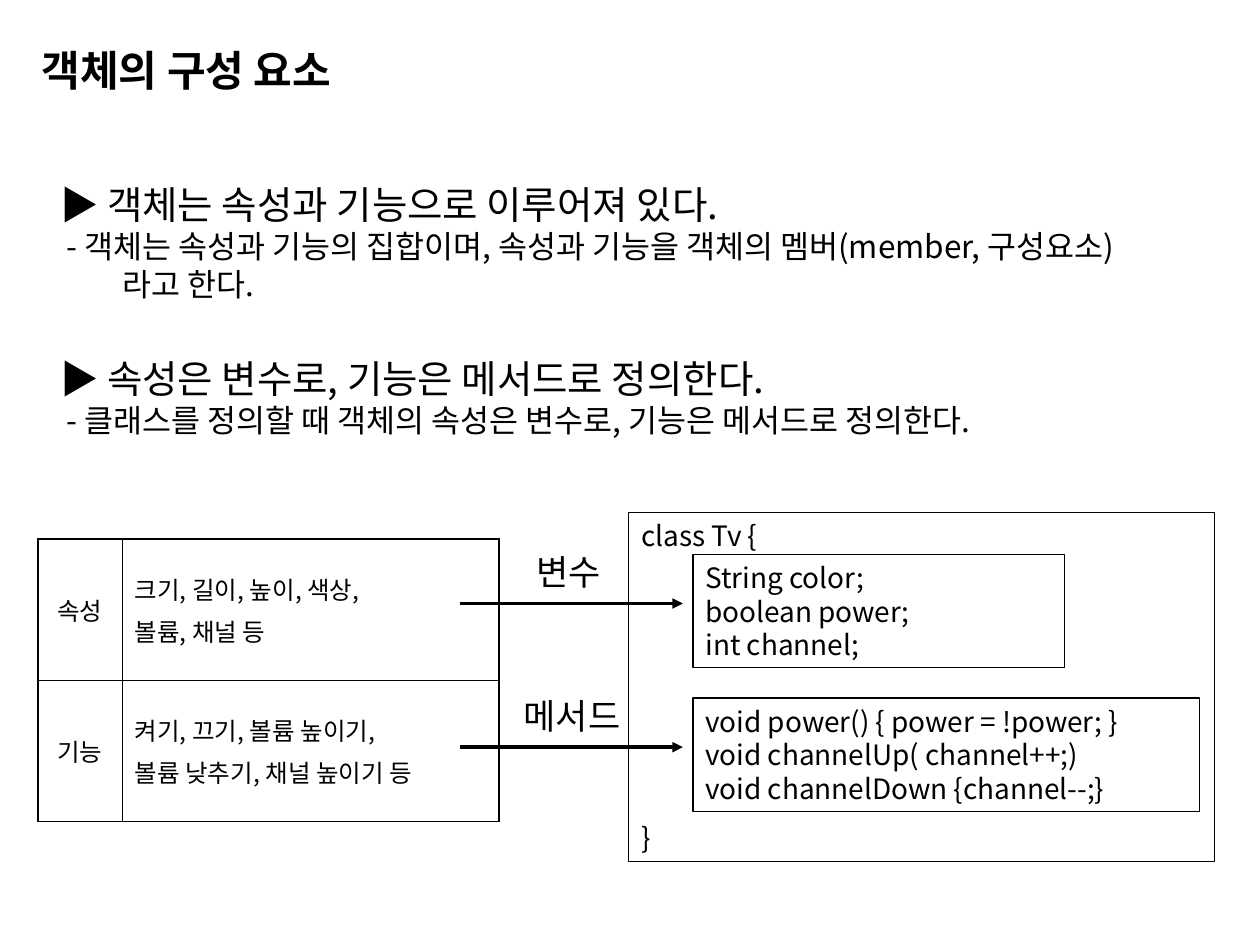
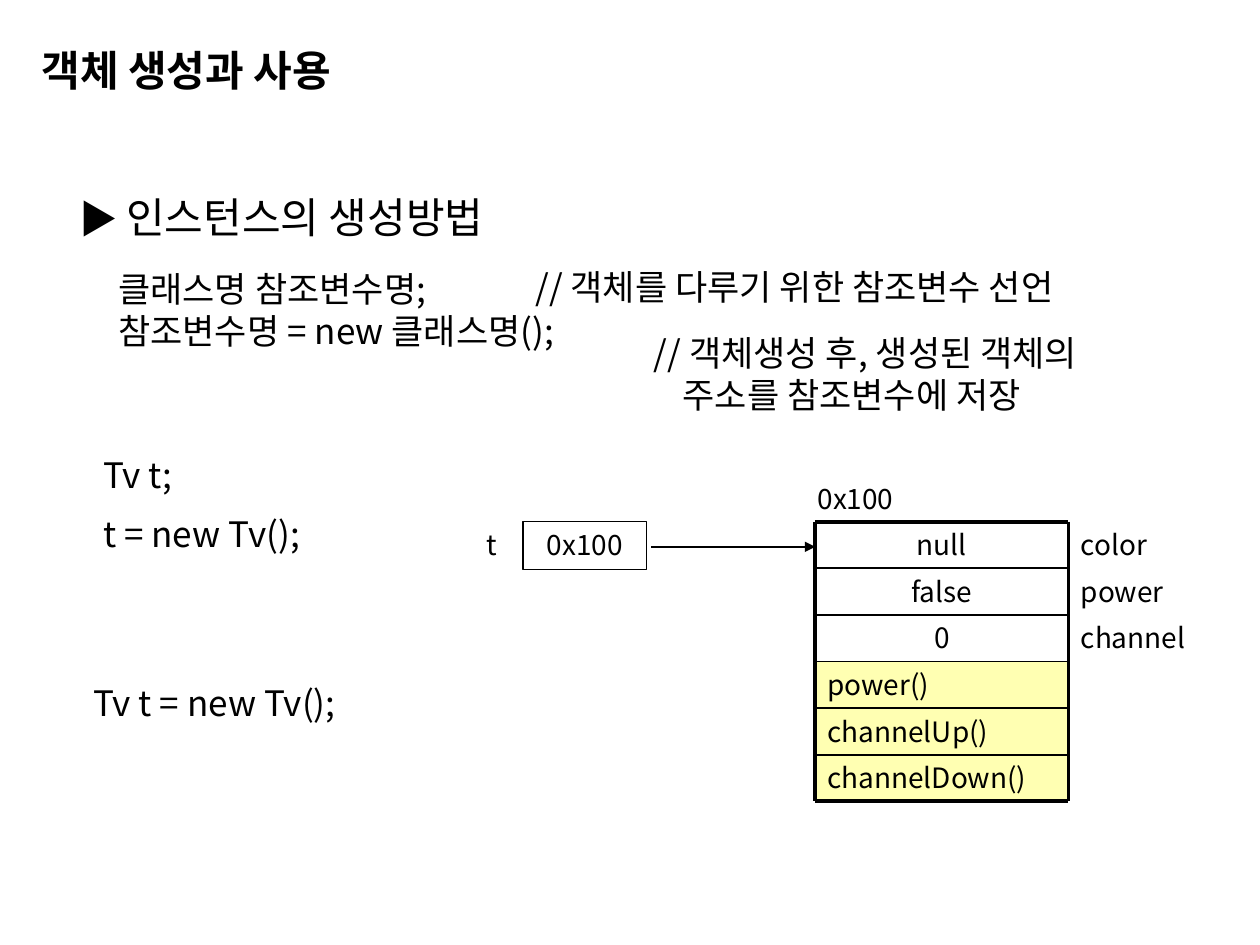
from pptx import Presentation
from pptx.dml.color import RGBColor
from pptx.enum.shapes import MSO_CONNECTOR, MSO_SHAPE
from pptx.enum.text import MSO_ANCHOR, MSO_AUTO_SIZE, PP_ALIGN
from pptx.oxml import parse_xml
from pptx.oxml.ns import nsdecls, qn
from pptx.util import Inches, Pt
from lxml.etree import SubElement

# Shared style
FONT = "Noto Sans CJK KR"
BLACK = RGBColor(0, 0, 0)
YELLOW = RGBColor(0xFF, 0xFF, 0x66)
LEAD = 1.2  # line pitch relative to the text size


def style(para, size, lead=LEAD, bold=False, align=PP_ALIGN.LEFT):
    para.alignment = align
    para.line_spacing = Pt(round(size * lead, 1))
    font = para.font
    font.size, font.bold, font.name = Pt(size), bold, FONT
    font.color.rgb = BLACK
    props = para._p.pPr.find(qn("a:defRPr"))
    SubElement(props, qn("a:ea")).set("typeface", FONT)


def indent(para, left, first=0):
    props = para._p.get_or_add_pPr()
    props.set("marL", str(Inches(left)))
    props.set("indent", str(Inches(first)))


def write(frame, lines, size, **look):
    """Fill a frame with one paragraph per line and return the paragraphs."""
    frame.word_wrap = True
    frame.text = "\n".join(lines)
    for para in frame.paragraphs:
        style(para, size, **look)
    return frame.paragraphs


def label(slide, x, y, w, h, lines, size, **look):
    box = slide.shapes.add_textbox(Inches(x), Inches(y), Inches(w), Inches(h))
    return write(box.text_frame, lines, size, **look)


def panel(slide, x, y, w, h, lines, size=16, edge=0.75, fill=None, **look):
    box = slide.shapes.add_shape(
        MSO_SHAPE.RECTANGLE, Inches(x), Inches(y), Inches(w), Inches(h))
    box.shadow.inherit = False
    if fill is None:
        box.fill.background()
    else:
        box.fill.solid()
        box.fill.fore_color.rgb = fill
        tint = box.fill._xPr.find(qn("a:solidFill"))[0]
        SubElement(tint, qn("a:alpha")).set("val", "50000")
    if edge:
        box.line.color.rgb = BLACK
        box.line.width = Pt(edge)
    else:
        box.line.fill.background()
    box.text_frame.vertical_anchor = MSO_ANCHOR.TOP
    return write(box.text_frame, lines, size, **look)


def rule(slide, x1, y1, x2, y2, width, arrow=False):
    line = slide.shapes.add_connector(
        MSO_CONNECTOR.STRAIGHT, Inches(x1), Inches(y1), Inches(x2), Inches(y2))
    line.line.color.rgb = BLACK
    line.line.width = Pt(width)
    if arrow:
        SubElement(line.line._ln, qn("a:tailEnd")).set("type", "triangle")
    SubElement(line._element.spPr, qn("a:effectLst"))


def start(deck, text):
    """Add a slide with the shared title."""
    slide = deck.slides.add_slide(deck.slide_layouts[5])
    title = slide.shapes.title
    title.left, title.top = Inches(0.33), Inches(0.33)
    title.width, title.height = Inches(9.32), Inches(0.49)
    frame = title.text_frame
    frame.auto_size = MSO_AUTO_SIZE.NONE
    frame.vertical_anchor = MSO_ANCHOR.MIDDLE
    frame.margin_left = frame.margin_right = 0
    frame.margin_top = frame.margin_bottom = Inches(0.05)
    write(frame, [text], 24, lead=LEAD * 0.9, bold=True)
    return slide


# Slide 1: parts of an object
def point(slide, x, y, w, h, head, note):
    first, second = label(slide, x, y, w, h, [head, note], 22)
    second._p.remove(second._p.pPr)
    indent(second, 0.49, -0.44)
    style(second, 18)


def border(cell, row, col):
    props = cell._tc.get_or_add_tcPr()
    outer = {"L": col == 0, "R": col == 1, "T": row == 0, "B": row == 1}
    for place, (side, edge) in enumerate(outer.items()):
        width = Pt(1.08 if edge else 0.45)
        props.insert(place, parse_xml(
            f'<a:ln{side} {nsdecls("a")} w="{width}"><a:solidFill>'
            f'<a:srgbClr val="{BLACK}"/></a:solidFill></a:ln{side}>'))


def traits(slide, x, y):
    rows = [
        (["속성"], ["크기, 길이, 높이, 색상,", "볼륨, 채널 등"]),
        (["기능"], ["켜기, 끄기, 볼륨 높이기,", "볼륨 낮추기, 채널 높이기 등"]),
    ]
    table = slide.shapes.add_table(
        2, 2, Inches(x), Inches(y), Inches(3.66), Inches(2.24)).table
    table.first_row = table.horz_banding = False
    for col, width in zip(table.columns, (0.67, 2.99)):
        col.width = Inches(width)
    for r, row in enumerate(rows):
        table.rows[r].height = Inches(1.12)
        for c, lines in enumerate(row):
            cell = table.cell(r, c)
            cell.fill.background()
            border(cell, r, c)
            cell.vertical_anchor = MSO_ANCHOR.MIDDLE
            align = PP_ALIGN.LEFT if c else PP_ALIGN.CENTER
            paras = write(cell.text_frame, lines, 14, lead=1.46, align=align)
            for para in paras[1:]:
                para.space_before = Pt(3.5)


def code(slide, x, y):
    paras = panel(slide, x, y, 4.65, 2.77, ["class Tv {", "}"])
    paras[1].space_before = Pt(153)
    panel(slide, x + 0.51, y + 0.33, 2.95, 0.9,
          ["String color;", "boolean power;", "int channel;"])
    panel(slide, x + 0.51, y + 1.47, 4.02, 0.9,
          ["void power() { power = !power; }", "void channelUp( channel++;)",
           "void channelDown {channel--;}"])


def link(slide, x, y, text, left, width):
    rule(slide, x, y, x + 1.77, y, 2, arrow=True)
    label(slide, x + left, y - 0.47, width, 0.44, [text], 20,
          align=PP_ALIGN.CENTER)


def members(deck):
    slide = start(deck, "객체의 구성 요소")
    point(slide, 0.38, 1.39, 8.98, 1.07,
          "▶ 객체는 속성과 기능으로 이루어져 있다.",
          "- 객체는 속성과 기능의 집합이며, 속성과 기능을 객체의 멤버(member, 구성요소)라고 한다.")
    point(slide, 0.38, 2.77, 8.86, 0.77,
          "▶ 속성은 변수로, 기능은 메서드로 정의한다.",
          "- 클래스를 정의할 때 객체의 속성은 변수로, 기능은 메서드로 정의한다.")
    code(slide, 4.99, 4.07)
    traits(slide, 0.3, 4.28)
    link(slide, 3.65, 4.79, "변수", 0.43, 0.87)
    link(slide, 3.65, 5.93, "메서드", 0.28, 1.22)


# Slide 2: making and using an object
def syntax(slide, x, y):
    head, = label(slide, x, y, 4.21, 0.5, ["▶ "], 24)
    head.runs[0].font.size = Pt(22)
    head.add_run().text = "인스턴스의 생성방법"
    label(slide, x + 0.31, y + 0.6, 4.53, 0.77,
          ["클래스명 참조변수명;", "참조변수명 = new 클래스명();"], 20)
    label(slide, x + 3.62, y + 0.59, 5.35, 0.44,
          ["// 객체를 다루기 위한 참조변수 선언"], 20)
    notes = label(slide, x + 4.56, y + 1.11, 4.57, 0.77,
                  ["// 객체생성 후, 생성된 객체의", "주소를 참조변수에 저장"], 20)
    indent(notes[1], 0.23)


def sample(slide, x, y):
    label(slide, x + 0.08, y, 1.69, 0.44, ["Tv t;"], 20)
    label(slide, x + 0.08, y + 0.47, 2.52, 0.44, ["t = new Tv();"], 20)
    label(slide, x, y + 1.81, 3.07, 0.44, ["Tv t = new Tv();"], 20)


def pointer(slide, x, y):
    label(slide, x, y, 1.04, 0.37, ["t"], 16)
    panel(slide, x + 0.39, y, 0.98, 0.38, ["0x100"], align=PP_ALIGN.CENTER)
    rule(slide, x + 1.41, y + 0.2, x + 2.71, y + 0.2, 1, arrow=True)


def memory(slide, x, y):
    wide, step = 2.01, 0.37
    fields = [("null", "color"), ("false", "power"), ("0", "channel")]
    calls = ["power()", "channelUp()", "channelDown()"]
    count = len(fields) + len(calls)
    foot = y + count * step
    label(slide, x - 0.08, y - step, 1.02, step, ["0x100"], 16)
    for i, (value, name) in enumerate(fields):
        top = y + i * step
        label(slide, x, top, wide, step, [value], 16, align=PP_ALIGN.CENTER)
        label(slide, x + wide, top, 1.26, step, [name], 16)
    for i, call in enumerate(calls, len(fields)):
        panel(slide, x, y + i * step, wide, step, [call], edge=0, fill=YELLOW)
    for i in range(count + 1):
        line = y + i * step
        rule(slide, x, line, x + wide, line, 2.25 if i in (0, count) else 1)
    for side in (x, x + wide):
        rule(slide, side, y, side, foot, 2.25)


def create(deck):
    slide = start(deck, "객체 생성과 사용")
    syntax(slide, 0.53, 1.47)
    sample(slide, 0.64, 3.55)
    pointer(slide, 3.76, 4.14)
    memory(slide, 6.47, 4.14)


def main():
    deck = Presentation()
    deck.slide_width, deck.slide_height = Inches(10), Inches(7.5)
    members(deck)
    create(deck)
    deck.save("out.pptx")


if __name__ == "__main__":
    main()
